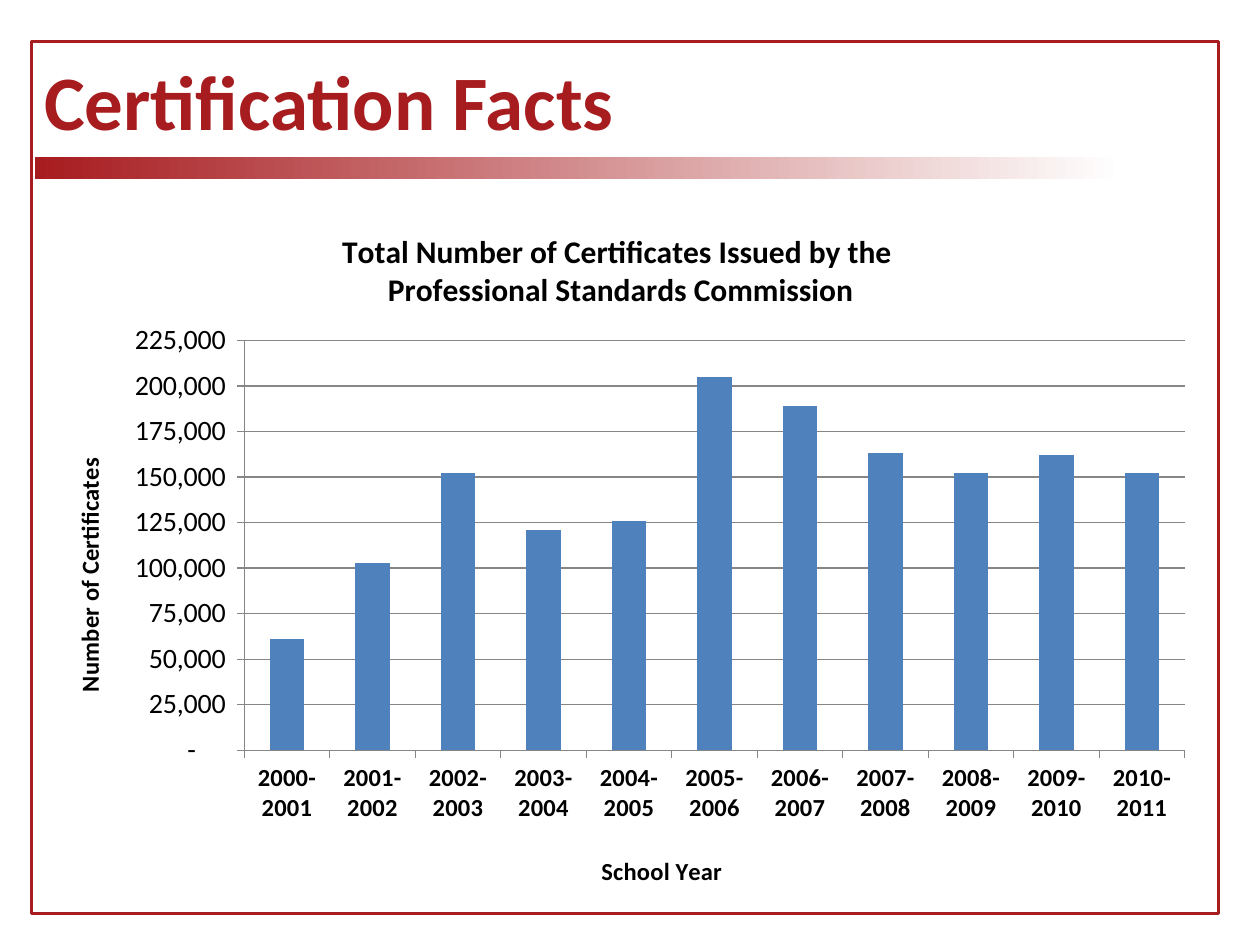
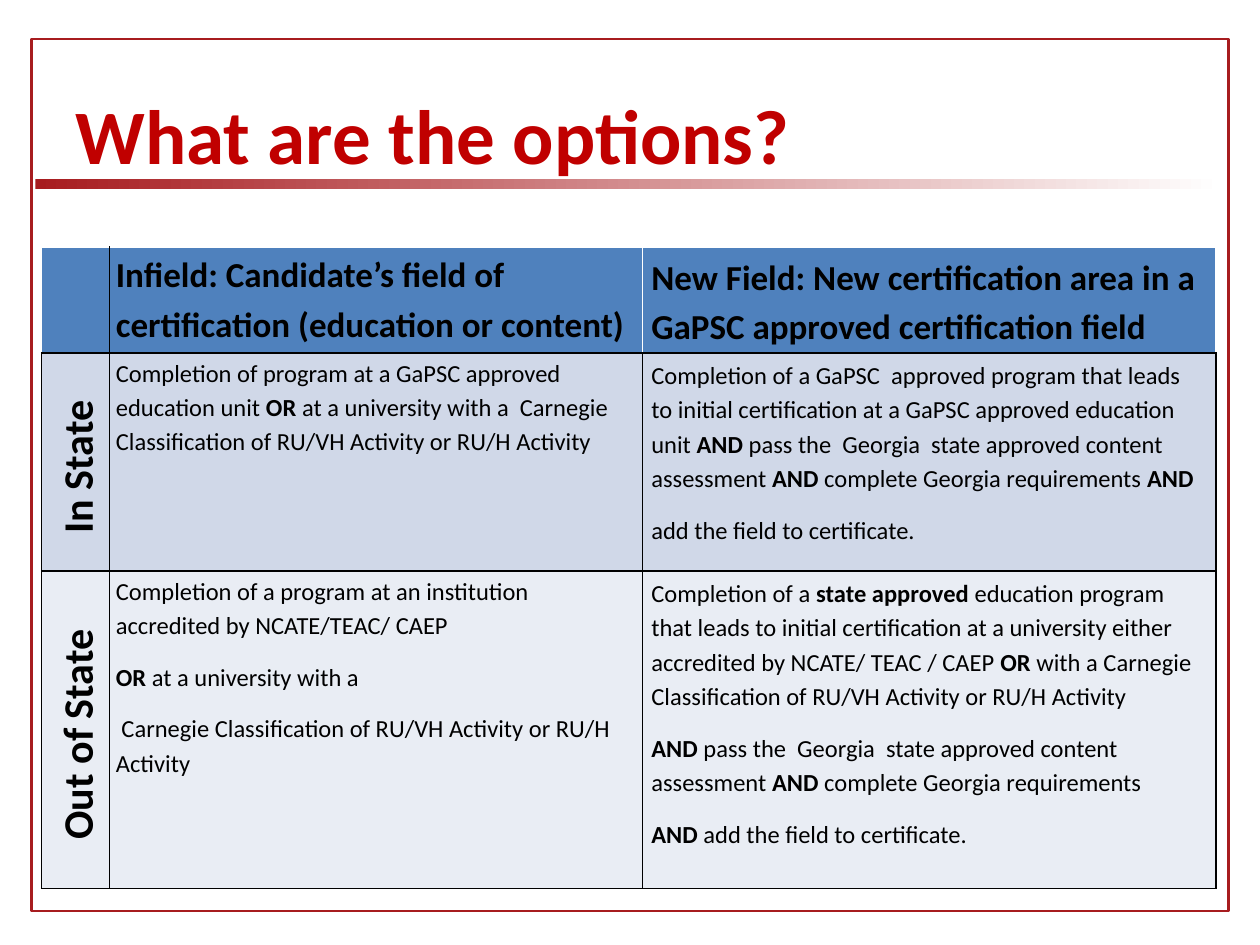
from lxml import etree
from pptx import Presentation
from pptx import util as u
from pptx.chart import data as cd
from pptx.dml import color as co
from pptx.enum import chart as ce, shapes, text
from pptx.oxml import ns

HUES = {"red": "A71C1F", "title": "C00000", "blue": "4F81BD", "white": "FFFFFF",
        "black": "000000", "grid": "868686", "pale": "D0D8E8", "light": "E9EDF4"}
YEARS = [f"{y}-{y + 1}" for y in range(2000, 2011)]
COUNTS = [61000, 103000, 152000, 121000, 126000, 205000,
          189000, 163000, 152000, 162000, 152000]
FORMAT = '_(* #,##0_);_(* \\(#,##0\\);_(* "-"??_);_('

ROWS = [
    ["", "*Infield: Candidate’s field of certification (education or content)*",
     "*New Field: New certification area in a GaPSC approved certification field*"],
    ["*In State *",
     "Completion of program at a GaPSC approved education unit *OR *at a university "
     "with a  Carnegie Classification of RU/VH Activity or RU/H Activity",
     "Completion of a GaPSC  approved program that leads to initial certification at a "
     "GaPSC approved education unit *AND *pass the  Georgia  state approved content "
     "assessment *AND *complete Georgia requirements *AND*\nadd the field to certificate."],
    ["*Out of State *",
     "Completion of a program at an institution accredited by NCATE/TEAC/ CAEP\n"
     "*OR *at a university with a\n"
     " Carnegie Classification of RU/VH Activity or RU/H Activity",
     "Completion of a *state approved* education program  that leads to initial "
     "certification at a university either accredited by NCATE/ TEAC / CAEP *OR* with a "
     "Carnegie Classification of RU/VH Activity or RU/H Activity\n"
     "*AND *pass the  Georgia  state approved content assessment *AND *complete Georgia "
     "requirements\n*AND *add the field to certificate."],
]


def rgb(hue):
    return co.RGBColor.from_string(HUES[hue])


def apply(item, vals):
    for key, val in vals.items():
        setattr(item, key, val)


def inches(*nums):
    return [u.Inches(n) for n in nums]


class Deck:
    face = "Calibri"

    def __init__(self):
        self.prs = Presentation()
        apply(self.prs, {"slide_width": u.Inches(10), "slide_height": u.Inches(7.5)})
        self.slide = None

    def font(self, font, size, bold=False, hue="black"):
        apply(font, {"name": self.face, "size": u.Pt(size), "bold": bold})
        font.color.rgb = rgb(hue)

    def page(self, words, hue, box, frame, bar):
        self.slide = self.prs.slides.add_slide(self.prs.slide_layouts[5])
        title = self.slide.shapes.title
        apply(title, dict(zip(("left", "top", "width", "height"), inches(*box))))
        title.text_frame.text = words
        title.text_frame.vertical_anchor = text.MSO_ANCHOR.MIDDLE
        par = title.text_frame.paragraphs[0]
        par.alignment = text.PP_ALIGN.LEFT
        self.font(par.runs[0].font, 44, True, hue)
        self.frame(frame)
        self.bar(bar)

    def rect(self, box):
        shape = self.slide.shapes.add_shape(shapes.MSO_SHAPE.RECTANGLE, *inches(*box))
        shape.shadow.inherit = False
        return shape

    def frame(self, box):
        shape = self.rect(box)
        shape.fill.background()
        shape.line.color.rgb = rgb("red")
        shape.line.width = u.Pt(1.5)

    def bar(self, box):
        shape = self.rect(box)
        shape.line.fill.background()
        shape.fill.gradient()
        shape.fill.gradient_angle = 0
        for stop, hue, pos in zip(shape.fill.gradient_stops, ("red", "white"), (0, 1)):
            stop.color.rgb = rgb(hue)
            stop.position = pos

    def place(self, node, index, **vals):
        for old in node.findall(ns.qn("c:layout")):
            node.remove(old)
        layout = etree.Element(ns.qn("c:layout"))
        manual = etree.SubElement(layout, ns.qn("c:manualLayout"))
        if "w" in vals:
            etree.SubElement(manual, ns.qn("c:layoutTarget")).set("val", "inner")
        for mode in ("xMode", "yMode"):
            etree.SubElement(manual, ns.qn("c:" + mode)).set("val", "edge")
        for key, val in vals.items():
            etree.SubElement(manual, ns.qn("c:" + key)).set("val", str(val))
        node.insert(index, layout)

    def label(self, title, words, size, x, y):
        title.text_frame.text = words
        for par in title.text_frame.paragraphs:
            self.font(par.runs[0].font, size, True)
        self.place(title.element, 1, x=x, y=y)

    def chart(self, box):
        data = cd.CategoryChartData()
        data.categories = YEARS
        data.add_series("Series 1", COUNTS)
        chart = self.slide.shapes.add_chart(
            ce.XL_CHART_TYPE.COLUMN_CLUSTERED, *inches(*box), data).chart
        chart.has_legend = False
        self.font(chart.font, 10)
        plot = chart.plots[0]
        apply(plot, {"gap_width": 150, "vary_by_categories": False})
        fill = plot.series[0].format.fill
        fill.solid()
        fill.fore_color.rgb = rgb("blue")
        cat, val = chart.category_axis, chart.value_axis
        apply(val, {"minimum_scale": 0, "maximum_scale": 225000, "major_unit": 25000,
                    "has_major_gridlines": True})
        apply(val.tick_labels, {"number_format": FORMAT, "number_format_is_linked": False})
        for axis, size, bold in ((cat, 14, True), (val, 16, False)):
            axis.major_tick_mark = ce.XL_TICK_MARK.OUTSIDE
            self.font(axis.tick_labels.font, size, bold)
        for line in (cat.format.line, val.format.line, val.major_gridlines.format.line):
            line.color.rgb = rgb("grid")
            line.width = u.Pt(0.75)
        self.label(chart.chart_title, "Total Number of Certificates Issued by the \n"
                   "Professional Standards Commission", 18, 0.26, 0.04)
        self.label(cat.axis_title, "School Year", 14, 0.48, 0.92)
        self.label(val.axis_title, "Number of Certificates", 14, 0.03, 0.36)
        area = chart.element.find(".//" + ns.qn("c:plotArea"))
        self.place(area, 0, x=0.18, y=0.2, w=0.8, h=0.58)

    def fill(self, cell, words, size, align):
        for num, chunk in enumerate(words.split("\n")):
            frame = cell.text_frame
            par = frame.add_paragraph() if num else frame.paragraphs[0]
            apply(par, {"line_spacing": 1.15, "space_after": u.Pt(10), "alignment": align})
            for turn, part in enumerate(chunk.split("*")):
                if part:
                    run = par.add_run()
                    run.text = part
                    self.font(run.font, size, turn % 2 == 1)

    def edge(self, cell, hues):
        props = cell._tc.get_or_add_tcPr()
        for num, (side, hue) in enumerate(zip("LRTB", hues)):
            line = etree.Element(ns.qn("a:ln" + side), w=str(u.Pt(1)))
            fill = etree.SubElement(line, ns.qn("a:solidFill"))
            etree.SubElement(fill, ns.qn("a:srgbClr")).set("val", HUES[hue])
            props.insert(num, line)

    def table(self, box, wides, highs):
        table = self.slide.shapes.add_table(
            len(highs), len(wides), *inches(*box)).table
        for col, wide in zip(table.columns, wides):
            col.width = u.Inches(wide)
        for row, high in zip(table.rows, highs):
            row.height = u.Inches(high)
        sides = ("margin_left", "margin_top", "margin_right", "margin_bottom")
        for r, row in enumerate(ROWS):
            for c, words in enumerate(row):
                cell = table.cell(r, c)
                pads = (0.05, 0.01, 0.05, 0) if c == 1 else (0.07, 0.03, 0.07, 0.03)
                apply(cell, dict(zip(sides, inches(*pads))))
                cell.fill.solid()
                cell.fill.fore_color.rgb = rgb(("blue", "pale", "light")[r])
                side = c == 0 and r > 0
                if side:
                    cell.vertical_anchor = text.MSO_ANCHOR.MIDDLE
                    cell._tc.get_or_add_tcPr().set("vert", "vert270")
                size = 20 if r == 0 else 24 if side else 14
                self.fill(cell, words, size,
                          text.PP_ALIGN.CENTER if side else text.PP_ALIGN.LEFT)
                hues = ["black"] * 4
                if r == 0:
                    hues = ["black" if c == 1 else "white",
                            "black" if c == 0 else "white", "white", "black"]
                self.edge(cell, hues)


def main():
    deck = Deck()
    deck.page("Certification Facts", "red", (0.25, 0.17, 9, 1.25),
              (0.25, 0.33, 9.42, 6.92), (0.28, 1.25, 8.63, 0.17))
    deck.chart((0.26, 1.58, 9.33, 5.61))
    deck.page("What are the options?", "title", (0.5, 0.58, 9, 0.97),
              (0.25, 0.31, 9.5, 6.92), (0.28, 1.42, 9.42, 0.08))
    deck.table((0.33, 1.96, 9.33, 5.09), (0.54, 4.23, 4.55), (0.84, 1.73, 2.52))
    deck.prs.save("out.pptx")


if __name__ == "__main__":
    main()
